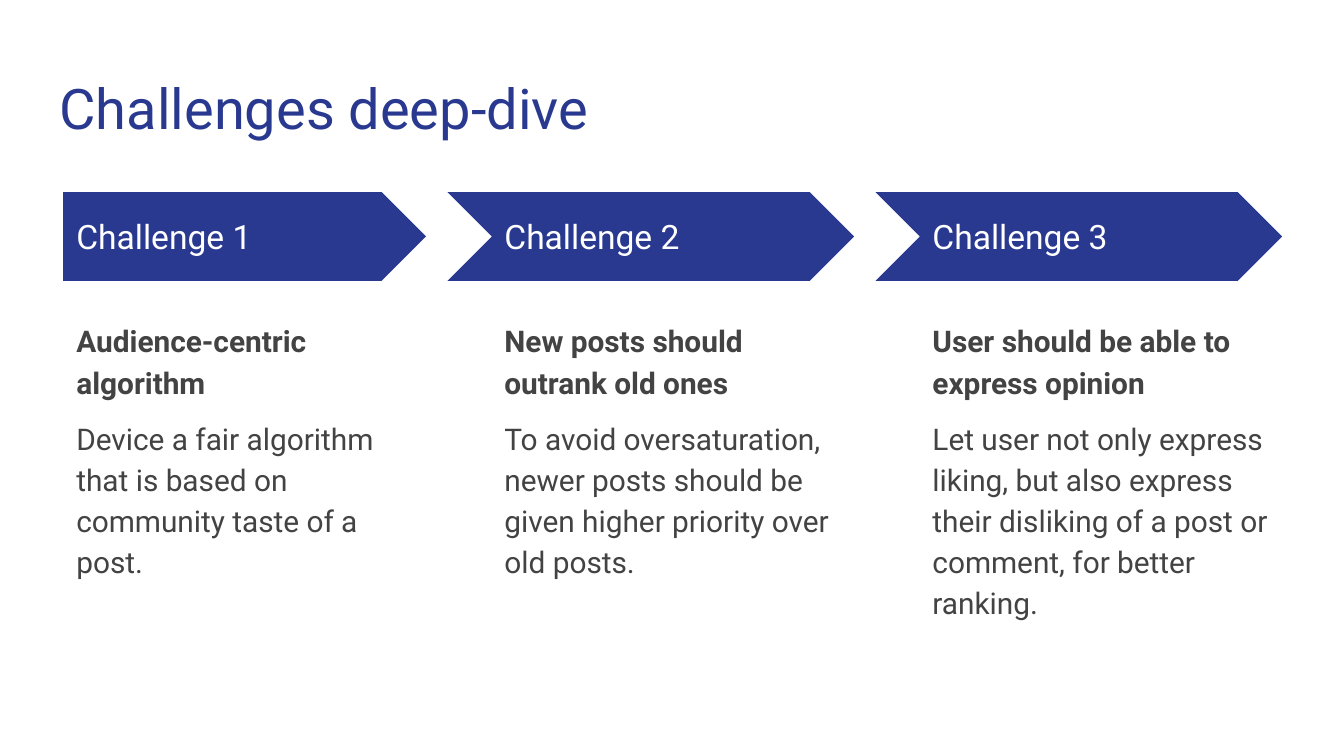
from pptx import Presentation
from pptx import util as u
from pptx.dml.color import RGBColor
from pptx.enum import shapes, text

PX = 4572
FONT = "Roboto"
NAVY = RGBColor(0x2A, 0x39, 0x90)
GREY = RGBColor(0x43, 0x43, 0x43)
WHITE = RGBColor(0xFF, 0xFF, 0xFF)
PLATE = shapes.MSO_SHAPE.PENTAGON
CHEVRON = shapes.MSO_SHAPE.CHEVRON
TOP = text.MSO_ANCHOR.TOP
MIDDLE = text.MSO_ANCHOR.MIDDLE

STEPS = [
    ("Challenge 1", "Audience-centric algorithm",
     "Device a fair algorithm that is based on community taste of a post."),
    ("Challenge 2", "New posts should outrank old ones",
     "To avoid oversaturation, newer posts should be given higher priority "
     "over old posts."),
    ("Challenge 3", "User should be able to express opinion",
     "Let user not only express liking, but also express their disliking "
     "of a post or comment, for better ranking."),
]


def px(*sizes):
    return [u.Emu(size * PX) for size in sizes]


def add_text(slide, box, lines, size, color, anchor=TOP):
    frame = slide.shapes.add_textbox(*px(*box)).text_frame
    frame.word_wrap = True
    frame.vertical_anchor = anchor
    pad, = px(20)
    frame.margin_left = frame.margin_right = pad
    frame.margin_top = frame.margin_bottom = pad
    frame.text = "\n".join(lines)
    for para in frame.paragraphs:
        para.font.name = FONT
        para.font.size = u.Pt(size)
        para.font.color.rgb = color
    return frame.paragraphs


def add_arrow(slide, box, kind):
    arrow = slide.shapes.add_shape(kind, *px(*box))
    arrow.shadow.inherit = False
    arrow.fill.solid()
    arrow.fill.fore_color.rgb = NAVY
    arrow.line.fill.background()


def add_title(slide, box):
    add_text(slide, box, ["Challenges deep-dive"], 30, NAVY)


def add_step(slide, box, step, kind, notch):
    left, top, width, height = box
    label, head, detail = step
    add_arrow(slide, (left - notch, top, width + notch, 132), kind)
    add_text(slide, (left, top + 32, 494, 68), [label], 18, WHITE, MIDDLE)
    body = (left, top + 167, width, height - 167)
    first, last = add_text(slide, body, [head, detail], 16, GREY)
    first.font.bold = True
    first.line_spacing = last.line_spacing = 1.15
    last.space_before = last.space_after = u.Pt(8)


def main():
    deck = Presentation()
    deck.slide_width, deck.slide_height = px(2000, 1125)
    slide = deck.slides.add_slide(deck.slide_layouts[6])
    add_title(slide, (69, 90, 1864, 132))
    for i, step in enumerate(STEPS):
        box = (94 + i * 637, 286, 540, 747)
        kind, notch = (CHEVRON, 65) if i else (PLATE, 0)
        add_step(slide, box, step, kind, notch)
    deck.save("out.pptx")


if __name__ == "__main__":
    main()
